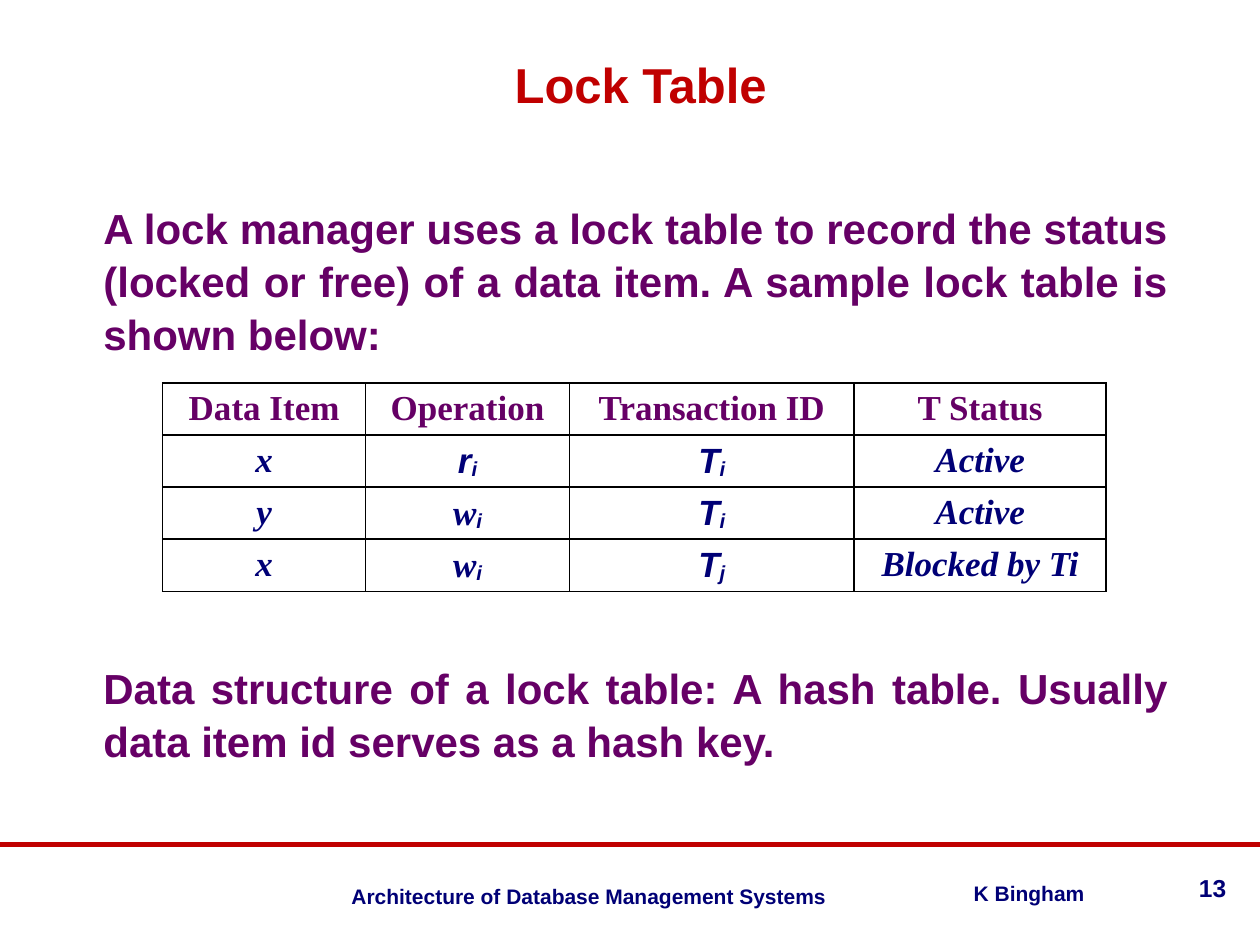
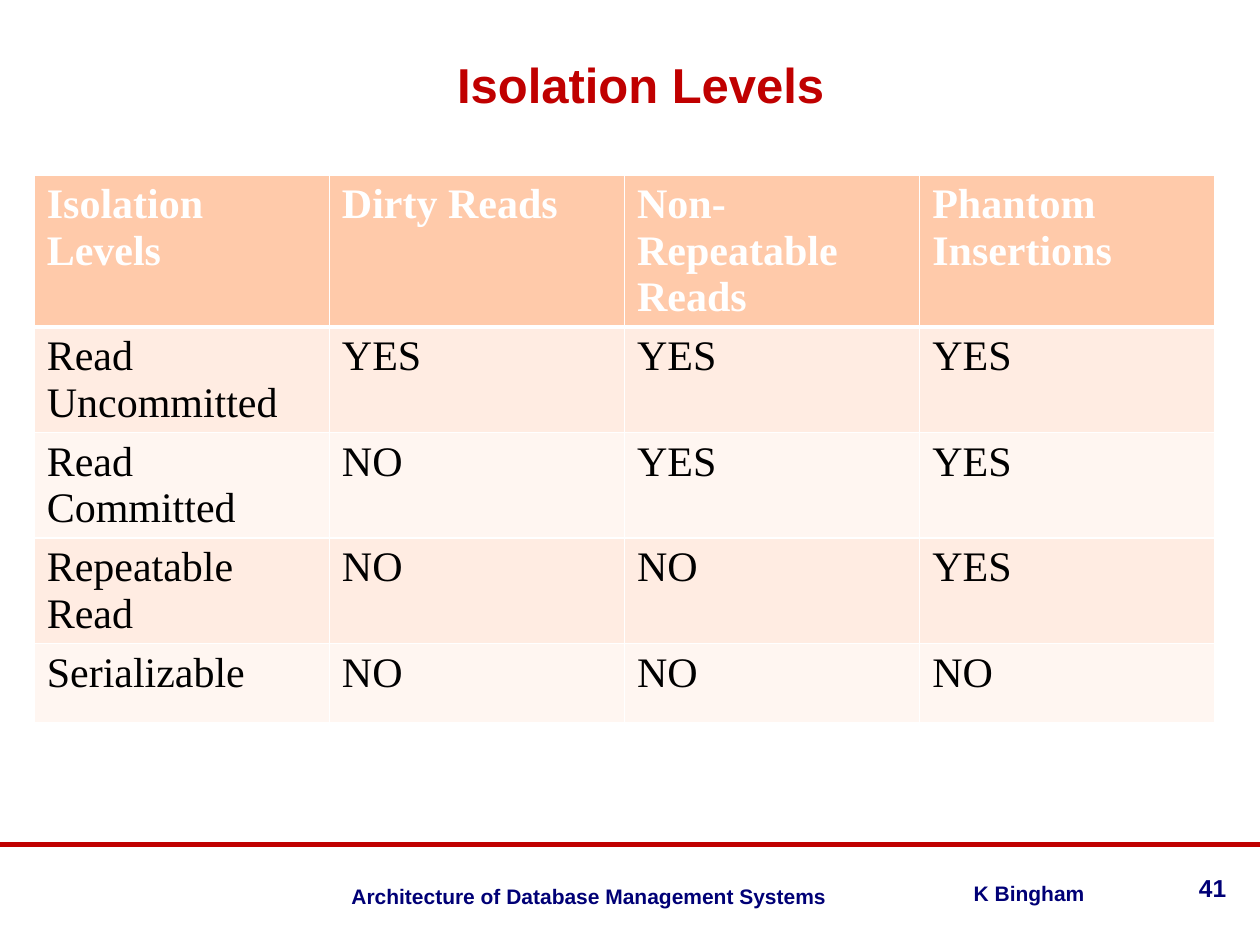
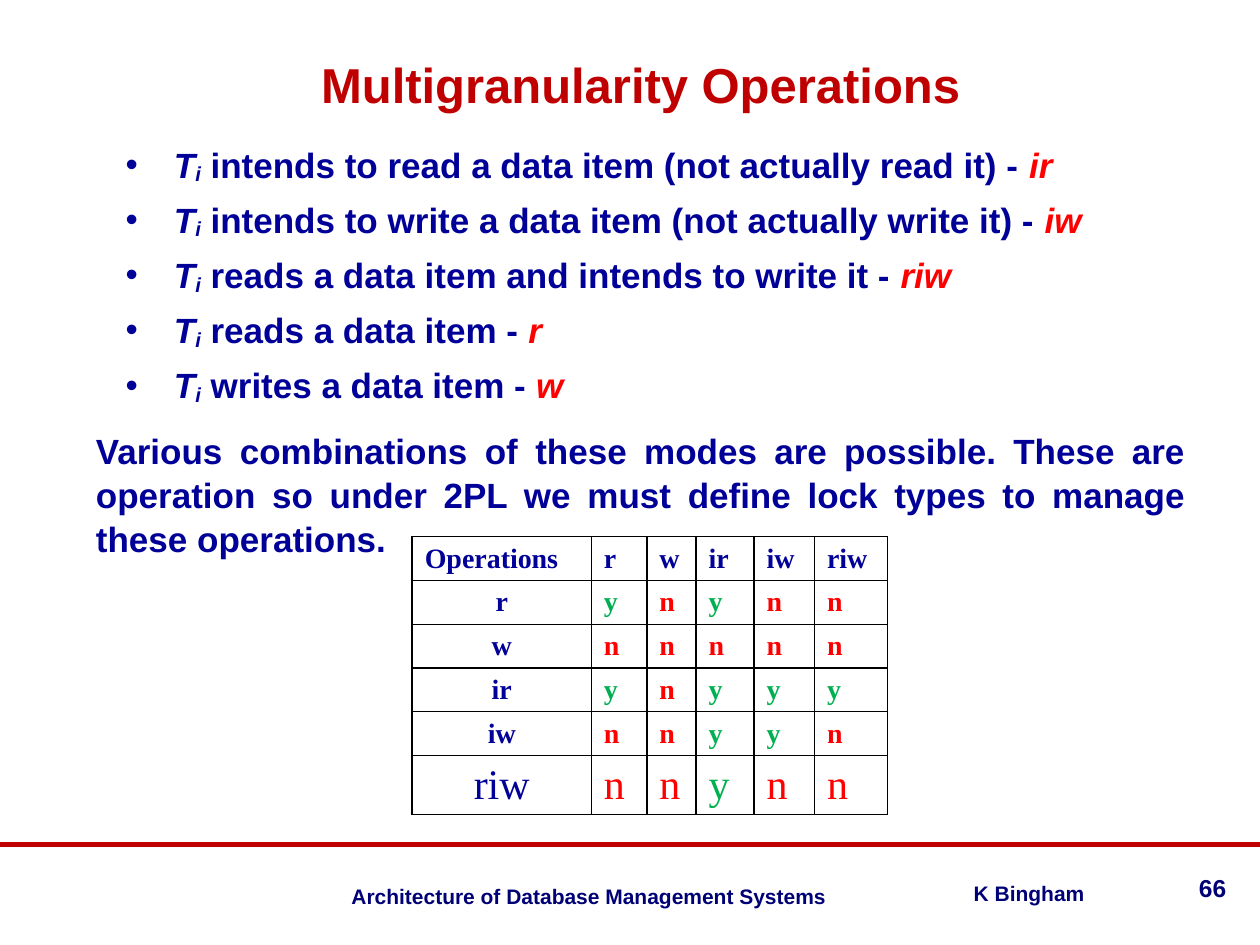
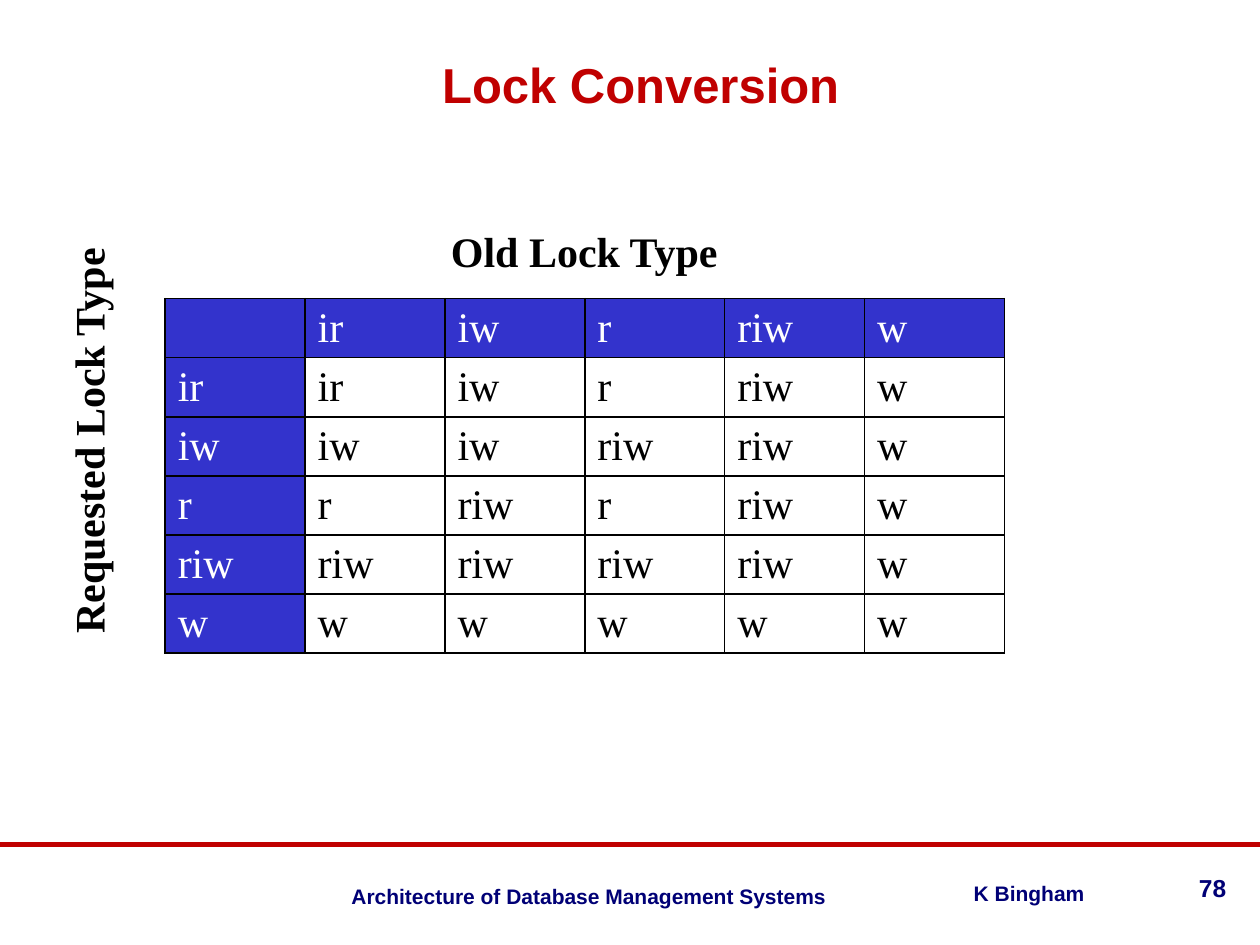
from dataclasses import dataclass

from lxml import etree
from pptx import Presentation, util as u
from pptx.dml.color import RGBColor
from pptx.enum import shapes, text
from pptx.oxml import ns

Cm, Pt = u.Cm, u.Pt
ALIGN = text.PP_ALIGN
FIT = text.MSO_AUTO_SIZE


@dataclass(frozen=True)
class Theme:
    sans: str = "Arial"
    serif: str = "Times New Roman"
    white: str = "FFFFFF"
    black: str = "000000"
    red: str = "C00000"
    navy: str = "000076"
    blue: str = "000099"
    purple: str = "660066"
    bright: str = "FF0000"
    green: str = "00B050"
    peach: str = "FFCAAA"
    peach_mid: str = "FFECE2"
    peach_light: str = "FFF6F1"
    cobalt: str = "3333CC"
    title: int = 28
    large: int = 24
    medium: int = 20
    small: int = 16
    number: int = 14
    footer: int = 12


T = Theme()


def sub(parent, tag, **attrs):
    return etree.SubElement(parent, ns.qn(tag), attrs)


def box(left, top, width, height):
    return dict(left=Cm(left), top=Cm(top), width=Cm(width), height=Cm(height))


def apply(target, values):
    for name, value in values.items():
        setattr(target, name, value)


class Deck:
    def __init__(self, theme):
        self.theme = theme
        self.prs = Presentation()
        apply(self.prs, dict(slide_width=Cm(25.4), slide_height=Cm(19.05)))
        self.s = None

    def slide(self, title, number, layout="Title Only"):
        t = self.theme
        self.s = self.prs.slides.add_slide(
            self.prs.slide_layouts.get_by_name(layout))
        self.rule(17.02)
        footer = dict(size=t.footer, color=t.navy)
        self.label("Architecture of Database Management Systems",
                   box(6.83, 17.68, 10.08, 0.69), ALIGN.RIGHT, **footer)
        self.label("K Bingham", box(19.38, 17.63, 3.2, 0.69),
                   ALIGN.JUSTIFY, **footer)
        self.label(str(number), box(23.5, 17.48, 1.47, 0.66),
                   ALIGN.RIGHT, size=t.number, color=t.navy)
        sp = self.s.shapes.title
        apply(sp, box(0.43, 0.43, 24.97, 2.51))
        apply(sp.text_frame, dict(auto_size=FIT.NONE, word_wrap=True,
                                  vertical_anchor=text.MSO_ANCHOR.MIDDLE))
        self.add_runs(sp.text_frame.paragraphs[0], [title], ALIGN.CENTER,
                      size=t.title, color=t.red)

    def add_runs(self, p, runs, align, size, color, font=None, bold=True,
                 italic=False):
        p.alignment = align
        base = dict(size=size, color=color, name=font or self.theme.sans,
                    bold=bold, italic=italic)
        for run in runs:
            words, extra = (run, {}) if isinstance(run, str) else run
            fmt = {**base, **extra}
            r = p.add_run()
            r.text = words
            r.font.color.rgb = RGBColor.from_string(fmt.pop("color"))
            baseline = fmt.pop("baseline", None)
            fmt["size"] = Pt(fmt["size"])
            apply(r.font, fmt)
            if baseline:
                r._r.get_or_add_rPr().set("baseline", str(baseline))

    def rule(self, y):
        line = self.s.shapes.add_connector(
            shapes.MSO_CONNECTOR.STRAIGHT, 0, Cm(y),
            self.prs.slide_width, Cm(y))
        line.line.color.rgb = RGBColor.from_string(self.theme.red)
        line.line.width = Pt(3)
        sub(line._element.spPr, "a:effectLst")

    def label(self, words, place, align, fit=False, vert=None, **fmt):
        tf = self.s.shapes.add_textbox(**place).text_frame
        apply(tf, dict(word_wrap=not fit, auto_size=(
            FIT.SHAPE_TO_FIT_TEXT if fit else FIT.NONE)))
        if vert:
            tf._txBody.bodyPr.set("vert", vert)
        self.add_runs(tf.paragraphs[0], [words], align, **fmt)

    def body(self, place, paragraphs, **fmt):
        sp = self.s.placeholders[1]
        apply(sp, place)
        tf = sp.text_frame
        apply(tf, dict(auto_size=FIT.NONE, word_wrap=True))
        for n, (runs, before, bullet) in enumerate(paragraphs):
            p = tf.add_paragraph() if n else tf.paragraphs[0]
            apply(p, dict(space_before=Pt(before), line_spacing=1.05))
            self.add_runs(p, runs, ALIGN.JUSTIFY, **fmt)
            pPr = p._p.get_or_add_pPr()
            left, hang = (Cm(1.57), Cm(-0.97)) if bullet else (0, 0)
            pPr.set("marL", str(int(left)))
            pPr.set("indent", str(int(hang)))
            if bullet:
                sub(pPr, "a:buFont", typeface=self.theme.sans)
                sub(pPr, "a:buChar", char="•")
            else:
                sub(pPr, "a:buNone")

    def borders(self, cell, color, widths):
        tcPr = cell._tc.get_or_add_tcPr()
        for side, width in widths.items():
            ln = sub(tcPr, f"a:ln{side}", w=str(int(Pt(width))))
            sub(sub(ln, "a:solidFill"), "a:srgbClr", val=color)

    def table(self, left, top, cols, heights, cells, look, line,
              header_line=1):
        tbl = self.s.shapes.add_table(
            len(heights), len(cols),
            **box(left, top, sum(cols), sum(heights))).table
        apply(tbl, dict(first_row=False, horz_banding=False))
        for col, width in zip(tbl.columns, cols):
            col.width = Cm(width)
        for row, height in zip(tbl.rows, heights):
            row.height = Cm(height)
        for i, row in enumerate(cells):
            for j, runs in enumerate(row):
                cell = tbl.cell(i, j)
                fill, align, fmt = look(i, j, runs)
                self.borders(cell, line, dict(
                    L=1, R=1, T=header_line if i == 1 else 1,
                    B=header_line if i == 0 else 1))
                if fill:
                    cell.fill.solid()
                    cell.fill.fore_color.rgb = RGBColor.from_string(fill)
                else:
                    cell.fill.background()
                if runs:
                    runs = [runs] if isinstance(runs, str) else runs
                    self.add_runs(cell.text_frame.paragraphs[0], runs, align,
                                  font=self.theme.serif, **fmt)


def indexed(letter, index, font=T.sans):
    return [(letter, dict(name=font, italic=True)),
            (index, dict(name=T.sans, italic=True, baseline=-10000))]


def lock_table(deck):
    deck.slide("Lock Table", 13, "Title and Content")
    deck.body(box(1.83, 3.91, 21.97, 12.14), [
        (["A lock manager uses a lock table to record the status (locked or "
          "free) of a data item. A sample lock table is shown below:"],
         4.8, False),
        (["Data structure of a lock table: A hash table. Usually data item "
          "id serves as a hash key."], 172, False),
    ], size=T.large, color=T.purple)

    def look(i, j, runs):
        return T.white, ALIGN.CENTER, dict(
            size=T.medium, color=T.navy if i else T.purple, italic=i > 0)

    ri, wi = indexed("r", "i"), indexed("w", "i", T.serif)
    ti, tj = indexed("T", "i"), indexed("T", "j")
    deck.table(3.28, 7.72, [4.09, 4.11, 5.74, 5.08], [1.05] * 4, [
        ["Data Item", "Operation", "Transaction ID", "T Status"],
        ["x", ri, ti, "Active"],
        ["y", wi, ti, "Active"],
        ["x", wi, tj, "Blocked by Ti"],
    ], look, T.black)


def isolation_levels(deck):
    deck.slide("Isolation Levels", 41)

    def look(i, j, runs):
        band = T.peach_mid if i % 2 else T.peach_light
        return band if i else T.peach, ALIGN.LEFT, dict(
            size=T.large, color=T.black if i else T.white, bold=i == 0)

    deck.table(0.69, 3.53, [5.95] * 4, [2.74] + [1.6] * 4, [
        ["Isolation Levels", "Dirty Reads", "Non-Repeatable Reads",
         "Phantom Insertions"],
        ["Read Uncommitted", "YES", "YES", "YES"],
        ["Read Committed", "NO", "YES", "YES"],
        ["Repeatable Read", "NO", "NO", "YES"],
        ["Serializable", "NO", "NO", "NO"],
    ], look, T.white, header_line=3)


def multigranularity(deck):
    deck.slide("Multigranularity Operations", 66, "Title and Content")
    modes = [
        ("intends to read a data item (not actually read it)", "ir"),
        ("intends to write a data item (not actually write it)", "iw"),
        ("reads a data item and intends to write it", "riw"),
        ("reads a data item", "r"),
        ("writes a data item", "w"),
    ]
    items = [(indexed("T", "i") + [
        f" {action} - ", (mode, dict(color=T.bright, italic=True))],
        6 if n else 12, True) for n, (action, mode) in enumerate(modes)]
    closing = ("Various combinations of these modes are possible. These are "
               "operation so under 2PL we must define lock types to manage "
               "these operations.")
    deck.body(box(1.68, 2.72, 22.48, 13.82),
              items + [([closing], 12, False)], size=T.medium, color=T.blue)

    def look(i, j, runs):
        marks = dict(y=T.green, n=T.bright)
        last = i == 5
        return None, ALIGN.CENTER if i and not j else ALIGN.LEFT, dict(
            size=T.large if last else T.small, bold=not last,
            color=marks.get(runs, T.blue))

    allowed = dict(r="ynynn", w="nnnnn", ir="ynyyy", iw="nnyyn", riw="nnynn")
    deck.table(8.31, 10.82, [3.61, 1.12, 0.99, 1.17, 1.22, 1.47],
               [0.81] * 5 + [0.89],
               [["Operations", *allowed]]
               + [[mode, *marks] for mode, marks in allowed.items()],
               look, T.black)


def lock_conversion(deck):
    deck.slide("Lock Conversion", 78)

    def look(i, j, runs):
        head = i == 0 or j == 0
        return T.cobalt if head else None, ALIGN.LEFT, dict(
            size=T.large, color=T.white if head else T.black, bold=False)

    def convert(old, new):
        if "w" in (old, new):
            return "w"
        if old == new or old == "ir":
            return new
        return old if new == "ir" else "riw"

    locks = ["ir", "iw", "r", "riw", "w"]
    deck.table(3.33, 6.02, [2.82] * 6, [1.04] * 6,
               [["", *locks]]
               + [[new] + [convert(old, new) for old in locks]
                  for new in locks], look, T.black)
    caption = dict(align=ALIGN.LEFT, fit=True, size=T.large, color=T.black,
                   font=T.serif)
    deck.label("Old Lock Type", box(8.84, 4.42, 5.94, 1.27), **caption)
    deck.label("Requested Lock Type", box(1.14, 4.93, 1.55, 8.1),
               vert="vert270", **caption)


def main():
    deck = Deck(T)
    for build in (lock_table, isolation_levels, multigranularity,
                  lock_conversion):
        build(deck)
    deck.prs.save("out.pptx")


if __name__ == "__main__":
    main()
